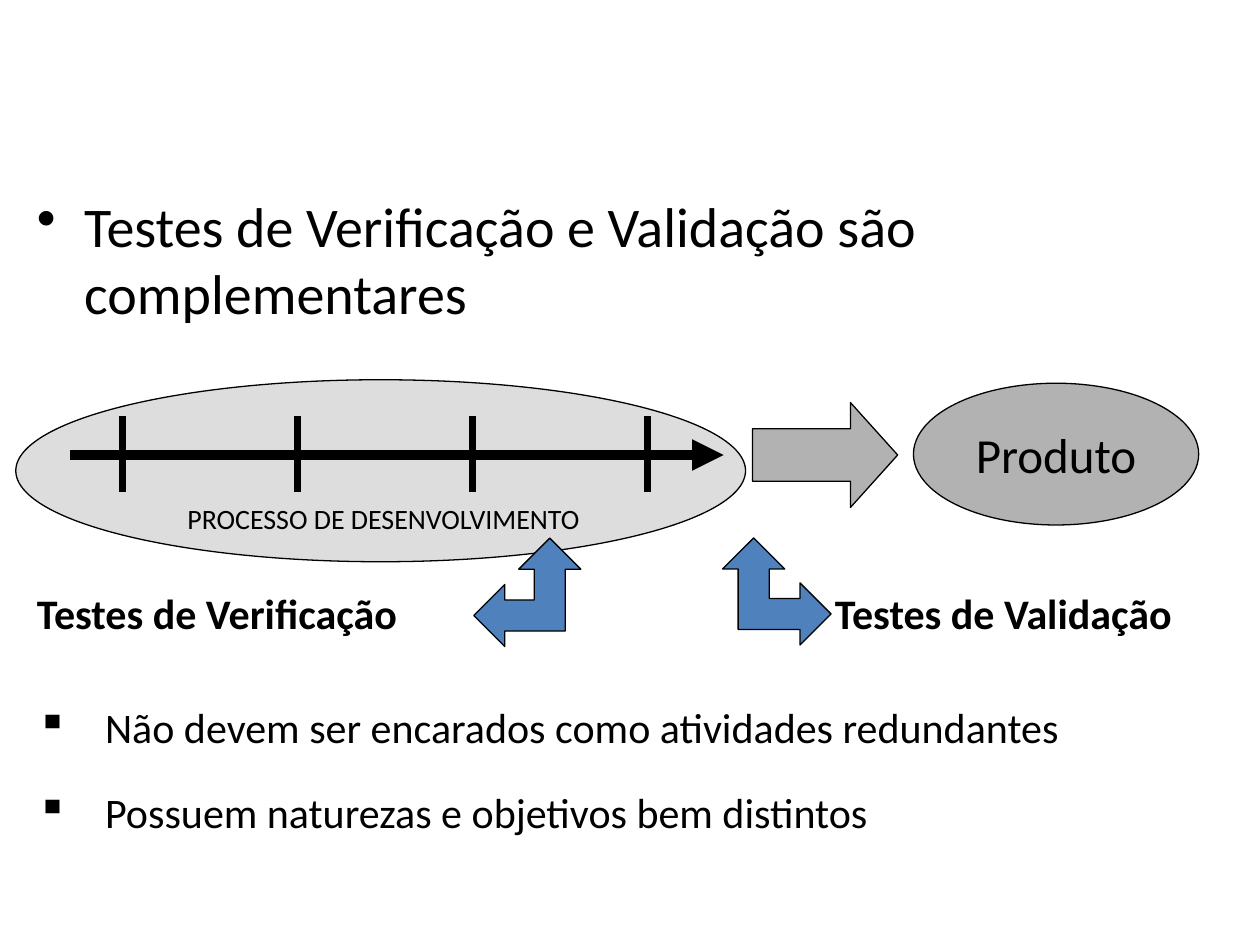
import pptx
import pptx.dml.color
import pptx.enum.shapes
import pptx.enum.text
import pptx.oxml.ns
import pptx.util
from lxml import etree

Pt = pptx.util.Pt
SHAPES = pptx.enum.shapes.MSO_SHAPE
BLACK, BLUE, GRAY, LIGHT_GRAY = "000000", "4F81BD", "B2B2B2", "DDDDDD"
FONT = "Calibri"


def color(hex_value):
    return pptx.dml.color.RGBColor.from_string(hex_value)


def add_element(parent, tag, **attributes):
    return etree.SubElement(parent, pptx.oxml.ns.qn(tag), **attributes)


def add_run(paragraph, text, size, bold=False):
    run = paragraph.add_run()
    run.text = text
    run.font.name = FONT
    run.font.size = Pt(size)
    run.font.bold = bold
    run.font.color.rgb = color(BLACK)


def add_bullet(paragraph, character, indent):
    properties = paragraph._p.get_or_add_pPr()
    properties.set("marL", str(Pt(indent)))
    properties.set("indent", str(-Pt(indent)))
    bullet_color = add_element(properties, "a:buClr")
    add_element(bullet_color, "a:srgbClr", val=BLACK)
    add_element(properties, "a:buChar", char=character)


def add_text(slide, box, lines, size, bold=False, bullet=None, indent=0, wrap=True):
    """Add a text box with one paragraph for each line."""
    frame = slide.shapes.add_textbox(*map(Pt, box)).text_frame
    frame.word_wrap = wrap
    for index, line in enumerate(lines):
        paragraph = frame.add_paragraph() if index else frame.paragraphs[0]
        if bullet:
            add_bullet(paragraph, bullet, indent)
        if index:
            paragraph.space_before = Pt(7.5)
        if index < len(lines) - 1:
            paragraph.space_after = Pt(12)
        add_run(paragraph, line, size, bold)


def add_shape(slide, kind, box, fill, adjustments=(), rotation=0):
    shape = slide.shapes.add_shape(kind, *map(Pt, box))
    shape.shadow.inherit = False
    shape.fill.solid()
    shape.fill.fore_color.rgb = color(fill)
    shape.line.color.rgb = color(BLACK)
    shape.line.width = Pt(0.75)
    shape.rotation = rotation
    for index, value in enumerate(adjustments):
        shape.adjustments[index] = value
    return shape


def add_line(slide, start, end, width, arrow=False):
    connector = slide.shapes.add_connector(
        pptx.enum.shapes.MSO_CONNECTOR.STRAIGHT, *map(Pt, start + end))
    connector.line.color.rgb = color(BLACK)
    connector.line.width = Pt(width)
    if arrow:
        add_element(connector.line._get_or_add_ln(), "a:tailEnd", type="triangle")
    add_element(connector._element.spPr, "a:effectLst")


def add_timeline(slide):
    add_line(slide, (40, 260), (413.5, 260), 6, arrow=True)
    for index in range(4):
        x = 70 + 100 * index
        add_line(slide, (x, 238), (x, 281), 4.5)


def add_product(slide):
    shape = add_shape(slide, SHAPES.OVAL, (522, 219, 163, 81), GRAY)
    frame = shape.text_frame
    frame.word_wrap = False
    frame.vertical_anchor = pptx.enum.text.MSO_ANCHOR.MIDDLE
    paragraph = frame.paragraphs[0]
    paragraph.alignment = pptx.enum.text.PP_ALIGN.CENTER
    add_run(paragraph, "Produto", 28)


def main():
    presentation = pptx.Presentation()
    presentation.slide_width, presentation.slide_height = Pt(720), Pt(540)
    slide = presentation.slides.add_slide(presentation.slide_layouts[6])

    add_shape(slide, SHAPES.OVAL, (9, 217, 417, 104), LIGHT_GRAY)
    add_text(slide, (14, 106, 691, 374),
             ["Testes de Verificação e Validação são complementares"],
             32, bullet="•", indent=27)
    add_timeline(slide)
    add_shape(slide, SHAPES.RIGHT_ARROW, (430, 230, 83, 60), GRAY, (0.5, 0.45))
    add_product(slide)
    add_text(slide, (14, 397.5, 692, 88),
             ["Não devem ser encarados como atividades redundantes",
              "Possuem naturezas e objetivos bem distintos"],
             24, bullet="▪", indent=39)
    add_text(slide, (100, 283, 240, 27), ["PROCESSO DE DESENVOLVIMENTO"], 16, wrap=False)

    for left, top, rotation in ((270.7, 307.5, 0), (413.3, 307, 90)):
        add_shape(slide, SHAPES.LEFT_UP_ARROW, (left, top, 61.2, 62), BLUE,
                  (0.29, 0.29, 0.29), rotation)
    add_text(slide, (14, 332, 266, 40), ["Testes de Verificação"], 24, bold=True)
    add_text(slide, (470, 332, 250, 40), ["Testes de Validação"], 24, bold=True)

    presentation.save("out.pptx")


if __name__ == "__main__":
    main()
